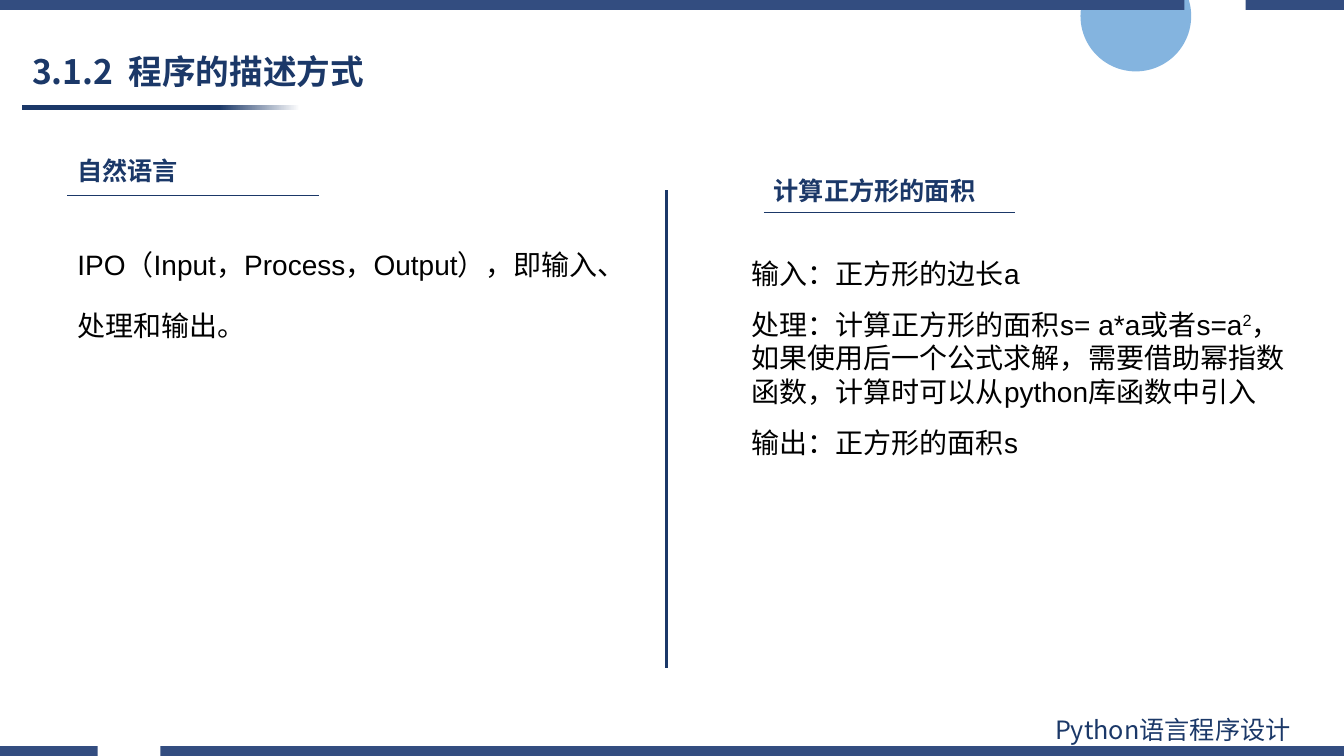
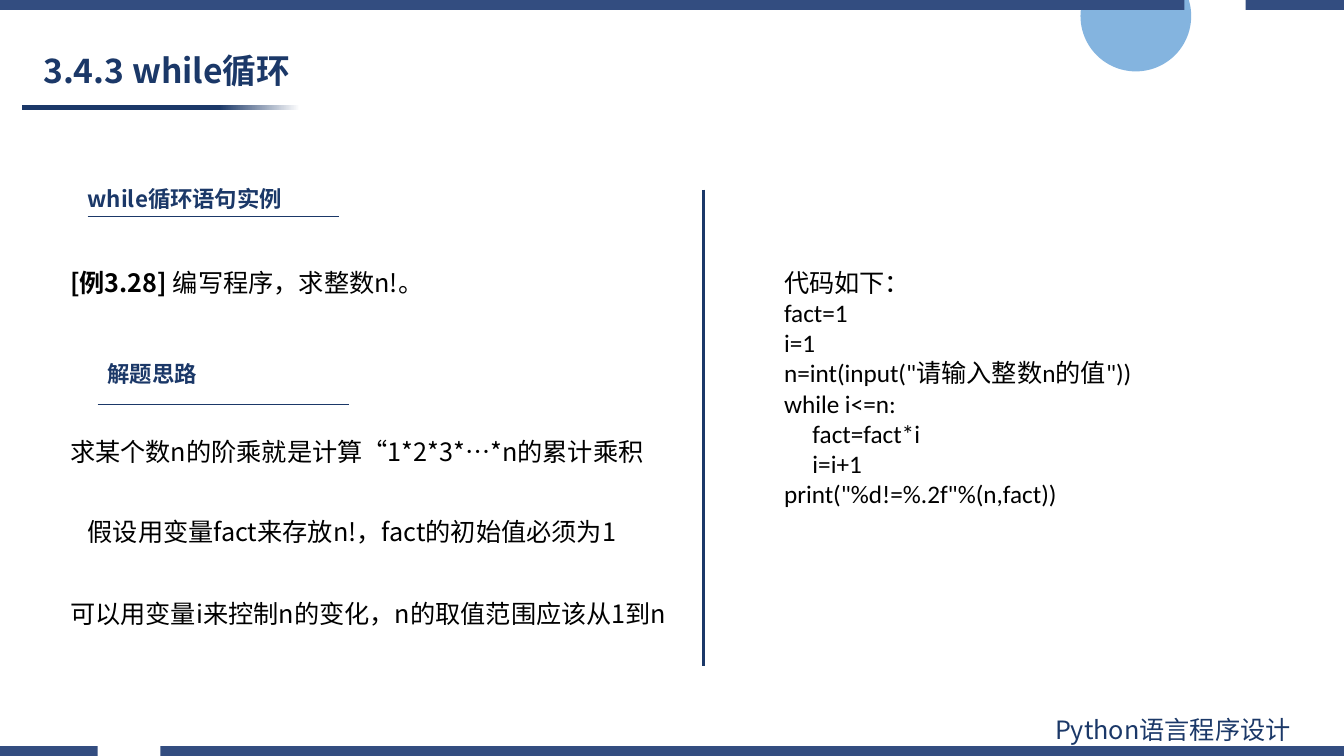
from dataclasses import dataclass

from lxml import etree
from pptx import Presentation
from pptx.dml.color import RGBColor
from pptx.enum import shapes, text
from pptx.oxml import ns
from pptx.util import Cm, Pt


@dataclass(frozen=True)
class Style:
    size: int
    face: str = "Noto Sans CJK SC"
    color: str = "000000"
    bold: bool = False
    line_spacing: object = None
    gap: int = 0
    hanging: float = 0
    first_line: float = 0
    align: object = None
    anchor: object = text.MSO_ANCHOR.TOP


class Theme:
    navy, band, sky, white = "1B3868", "334D80", "5B9BD5", "FFFFFF"
    title = Style(24, color=navy, bold=True, line_spacing=0.9,
                  anchor=text.MSO_ANCHOR.MIDDLE)
    footer = Style(18, color=navy)
    heading = Style(18, color=navy, bold=True)
    subheading = Style(16, color=navy, bold=True)
    definition = Style(20, "Arial", line_spacing=1.3, gap=6, hanging=0.79)
    steps = Style(20, "Arial", gap=6)
    example = Style(18)
    idea = Style(18, line_spacing=Pt(20), gap=6)
    code = Style(18, "Calibri", first_line=0.84, align=text.PP_ALIGN.JUSTIFY)


# All places are in centimetres: left, top, width, height
WIDTH, HEIGHT = 33.87, 19.05
BAND_HEIGHT = 0.25
BANDS = [
    (0, [(0, 29.85), (31.39, WIDTH)]),
    (HEIGHT - BAND_HEIGHT, [(0, 2.46), (4.04, WIDTH)]),
]
CIRCLE = (27.23, -0.99, 2.79, 2.79)
TITLE_BAR = (0.55, 2.65, 7.01, 0.13)
FOOTER = ("Python语言程序设计", (26.34, 17.88, 7.47, 1.02))
HEADING_SIZE = (8.64, 1.02)
RULE_LENGTH = 6.34

# A paragraph is a string or a list of (text, run format) pairs
SLIDES = [
    {
        "title": ("3.1.2  程序的描述方式", (0.56, 1.14, 15.34, 1.42)),
        "divider": (16.79, 4.8, 16.84),
        "headings": [
            ("自然语言", Theme.heading, (1.7, 3.78), (1.7, 4.93)),
            ("计算正方形的面积", Theme.heading, (19.25, 4.29), (19.25, 5.36)),
        ],
        "bodies": [
            (Theme.definition, (1.7, 5.87, 13.64, 2.9), [
                "IPO（Input，Process，Output），即输入、",
                "处理和输出。",
            ]),
            (Theme.steps, (18.69, 6.35, 13.97, 5.38), [
                "输入：正方形的边长a",
                [("处理：计算正方形的面积s= a*a或者s=a", ""),
                 ("2", "superscript"),
                 ("，如果使用后一个公式求解，需要借助幂指数函数，"
                  "计算时可以从python库函数中引入", "")],
                "输出：正方形的面积s",
            ]),
        ],
    },
    {
        "title": ("3.4.3 while循环", (0.84, 1.12, 9.07, 1.42)),
        "divider": (17.73, 4.78, 16.79),
        "headings": [
            ("while循环语句实例", Theme.subheading, (1.96, 4.55), (2.21, 5.46)),
            ("解题思路", Theme.subheading, (2.46, 8.94), (2.46, 10.19)),
        ],
        "bodies": [
            (Theme.example, (1.52, 6.6, 15.72, 1.02), [
                [("[例3.28] ", "bold"), ("编写程序，求整数n!。", "")],
            ]),
            (Theme.idea, (1.52, 10.92, 15.72, 0.97), [
                "求某个数n的阶乘就是计算“1*2*3*…*n的累计乘积",
            ]),
            (Theme.idea, (1.96, 12.93, 14.86, 0.97), [
                "假设用变量fact来存放n!，fact的初始值必须为1",
            ]),
            (Theme.idea, (1.52, 15.01, 15.72, 0.97), [
                "可以用变量i来控制n的变化，n的取值范围应该从1到n",
            ]),
            (Theme.code, (18.67, 6.6, 13.92, 6.4), [
                "代码如下：",
                "fact=1",
                "i=1",
                'n=int(input("请输入整数n的值"))',
                "while i<=n:",
                "     fact=fact*i",
                "     i=i+1",
                'print("%d!=%.2f"%(n,fact))',
            ]),
        ],
    },
]


def rgb(color):
    return RGBColor.from_string(color)


def add_run(paragraph, words, style, run_format):
    run = paragraph.add_run()
    run.text = words
    run.font.size = Pt(style.size)
    run.font.bold = style.bold or run_format == "bold"
    run.font.color.rgb = rgb(style.color)
    run.font.name = style.face
    properties = run._r.get_or_add_rPr()
    etree.SubElement(properties, ns.qn("a:ea"), typeface=style.face)
    if run_format == "superscript":
        properties.set("baseline", "30000")


def add_text(slide, place, paragraphs, style):
    frame = slide.shapes.add_textbox(*map(Cm, place)).text_frame
    frame.word_wrap = True
    frame.vertical_anchor = style.anchor
    for index, content in enumerate(paragraphs):
        paragraph = frame.add_paragraph() if index else frame.paragraphs[0]
        paragraph.alignment = style.align
        paragraph.line_spacing = style.line_spacing
        if style.gap:
            paragraph.space_before = Pt(style.gap if index else 0)
            paragraph.space_after = Pt(style.gap)
        if style.hanging or style.first_line:
            properties = paragraph._p.get_or_add_pPr()
            properties.set("marL", str(Cm(style.hanging)))
            properties.set("indent", str(Cm(style.first_line - style.hanging)))
        runs = [(content, "")] if isinstance(content, str) else content
        for words, run_format in runs:
            add_run(paragraph, words, style, run_format)


def add_filled(slide, preset, place, color):
    shape = slide.shapes.add_shape(preset, *map(Cm, place))
    shape.shadow.inherit = False
    shape.line.fill.background()
    shape.fill.solid()
    shape.fill.fore_color.rgb = rgb(color)
    return shape


def add_line(slide, start, end, weight):
    line = slide.shapes.add_connector(
        shapes.MSO_CONNECTOR.STRAIGHT, *map(Cm, start + end))
    line.line.color.rgb = rgb(Theme.navy)
    line.line.width = Pt(weight)
    etree.SubElement(line._element.spPr, ns.qn("a:effectLst"))


def add_frame(slide):
    """Draw the circle, title bar, edge bands and footer of every slide."""
    circle = add_filled(slide, shapes.MSO_SHAPE.OVAL, CIRCLE, Theme.sky)
    sky = circle._element.spPr.find(".//" + ns.qn("a:srgbClr"))
    etree.SubElement(sky, ns.qn("a:alpha"), val="75000")

    rectangle = shapes.MSO_SHAPE.RECTANGLE
    fill = add_filled(slide, rectangle, TITLE_BAR, Theme.navy).fill
    fill.gradient()
    fill.gradient_angle = 0
    fade = [(0.71, Theme.navy), (1, Theme.white)]
    for stop, (position, color) in zip(fill.gradient_stops, fade):
        stop.position = position
        stop.color.rgb = rgb(color)

    for top, spans in BANDS:
        for left, right in spans:
            add_filled(slide, rectangle,
                       (left, top, right - left, BAND_HEIGHT), Theme.band)
    words, place = FOOTER
    add_text(slide, place, [words], Theme.footer)


def add_slide(deck, content):
    slide = deck.slides.add_slide(deck.slide_layouts[6])
    add_frame(slide)
    title, place = content["title"]
    add_text(slide, place, [title], Theme.title)
    x, top, bottom = content["divider"]
    add_line(slide, (x, top), (x, bottom), 2)
    for words, style, corner, (left, rule_y) in content["headings"]:
        add_text(slide, corner + HEADING_SIZE, [words], style)
        add_line(slide, (left, rule_y), (left + RULE_LENGTH, rule_y), 0.5)
    for style, place, paragraphs in content["bodies"]:
        add_text(slide, place, paragraphs, style)


def main():
    deck = Presentation()
    deck.slide_width, deck.slide_height = Cm(WIDTH), Cm(HEIGHT)
    for content in SLIDES:
        add_slide(deck, content)
    deck.save("out.pptx")


if __name__ == "__main__":
    main()
